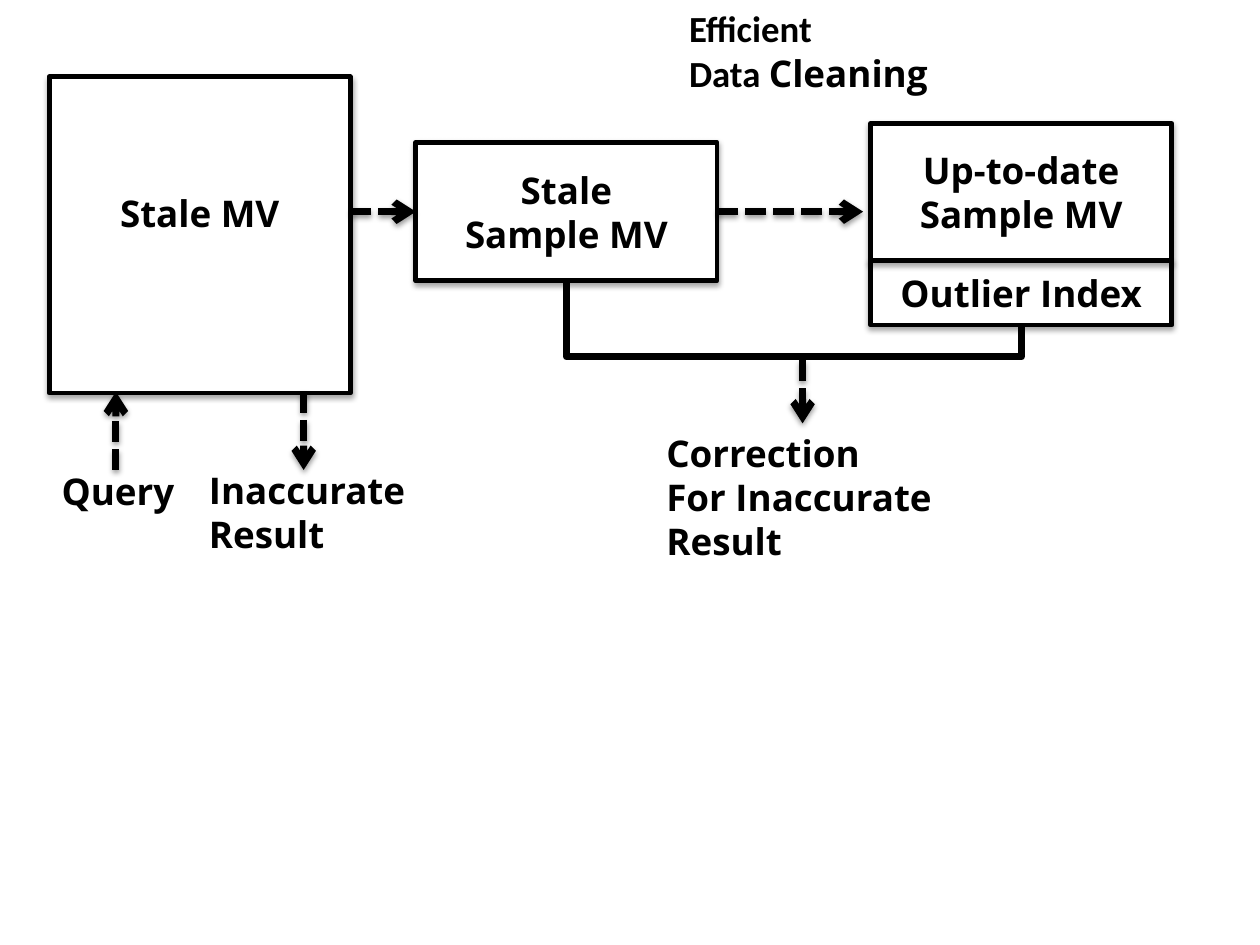
import pptx
import pptx.util
import pptx.dml.color
import pptx.enum.dml
import pptx.enum.shapes
import pptx.enum.text
import pptx.oxml
import pptx.oxml.ns

Inches = pptx.util.Inches
Pt = pptx.util.Pt
qn = pptx.oxml.ns.qn
COLORS = {
    name: pptx.dml.color.RGBColor.from_string(value)
    for name, value in {"ink": "000000", "paper": "FFFFFF"}.items()
}
SANS = "Open Sans"
BODY = "Calibri"


def write_text(shape, lines, font=SANS, size=21, align=pptx.enum.text.PP_ALIGN.LEFT,
               anchor=pptx.enum.text.MSO_ANCHOR.TOP, wrap=False):
    frame = shape.text_frame
    frame.word_wrap = wrap
    frame.vertical_anchor = anchor
    for index, line in enumerate(lines):
        paragraph = frame.paragraphs[0] if index == 0 else frame.add_paragraph()
        paragraph.alignment = align
        for text, run_font in [(line, font)] if isinstance(line, str) else line:
            run = paragraph.add_run()
            run.text = text
            run.font.name = run_font
            run.font.size = Pt(size)
            run.font.bold = True
            run.font.color.rgb = COLORS["ink"]


def add_shadow(shape, distance, opacity):
    shape.element.spPr.append(pptx.oxml.parse_xml(
        f'<a:effectLst {pptx.oxml.ns.nsdecls("a")}>'
        f'<a:outerShdw blurRad="{Pt(3.1)}" dist="{Pt(distance)}" dir="5400000" rotWithShape="0">'
        f'<a:srgbClr val="{COLORS["ink"]}"><a:alpha val="{opacity * 1000}"/></a:srgbClr>'
        '</a:outerShdw></a:effectLst>'))


presentation = pptx.Presentation()
presentation.slide_width = Inches(10)
presentation.slide_height = Inches(7.5)
slide = presentation.slides.add_slide(presentation.slide_layouts[6])

boxes = {}
for name, lines, left, top, height in [
    ("stale", ["Stale MV"], 0.39, 0.61, 2.51),
    ("sample", ["Stale", "Sample MV"], 3.3, 1.13, 1.1),
    ("outlier", ["Outlier Index"], 6.91, 2.07, 0.51),
    ("updated", ["Up-to-date Sample MV"], 6.91, 0.98, 1.09),
]:
    box = slide.shapes.add_shape(pptx.enum.shapes.MSO_SHAPE.RECTANGLE,
                                 Inches(left), Inches(top), Inches(2.39), Inches(height))
    box.fill.solid()
    box.fill.fore_color.rgb = COLORS["paper"]
    box.line.color.rgb = COLORS["ink"]
    box.line.width = Pt(2.75)
    add_shadow(box, 1.8, 35)
    write_text(box, lines, align=pptx.enum.text.PP_ALIGN.CENTER,
               anchor=pptx.enum.text.MSO_ANCHOR.MIDDLE, wrap=True)
    boxes[name] = box
boxes["stale"].text_frame.margin_bottom = Inches(0.4)

arrows = []
for start_x, start_y, end_x, end_y in [
    (2.78, 1.68, 3.3, 1.68),
    (5.69, 1.68, 6.85, 1.68),
    (0.92, 3.73, 0.92, 3.11),
    (2.41, 3.11, 2.41, 3.73),
    (6.37, 2.86, 6.37, 3.36),
]:
    arrow = slide.shapes.add_connector(pptx.enum.shapes.MSO_CONNECTOR.STRAIGHT,
                                       Inches(start_x), Inches(start_y),
                                       Inches(end_x), Inches(end_y))
    arrow.line.color.rgb = COLORS["ink"]
    arrow.line.width = Pt(4)
    arrow.line.dash_style = pptx.enum.dml.MSO_LINE.SQUARE_DOT
    arrow.element.spPr.find(qn("a:ln")).append(pptx.oxml.parse_xml(
        f'<a:tailEnd {pptx.oxml.ns.nsdecls("a")} type="arrow"/>'))
    add_shadow(arrow, 1.6, 38)
    arrows.append(arrow)
arrows[0].end_connect(boxes["sample"], 1)
arrows[1].begin_connect(boxes["sample"], 3)

bracket = slide.shapes.add_connector(pptx.enum.shapes.MSO_CONNECTOR.ELBOW,
                                     Inches(4.5), Inches(2.23), Inches(8.1), Inches(2.58))
bracket.begin_connect(boxes["sample"], 2)
bracket.end_connect(boxes["outlier"], 2)
bracket.left, bracket.top = Inches(6.12), Inches(0.6)
bracket.width, bracket.height = Inches(0.36), Inches(3.61)
transform = bracket.element.spPr.find(qn("a:xfrm"))
transform.set("rot", "16200000")
transform.set("flipH", "1")
geometry = bracket.element.spPr.find(qn("a:prstGeom"))
for adjustments in geometry.findall(qn("a:avLst")):
    geometry.remove(adjustments)
geometry.append(pptx.oxml.parse_xml(
    f'<a:avLst {pptx.oxml.ns.nsdecls("a")}><a:gd name="adj1" fmla="val 169000"/></a:avLst>'))
bracket.line.color.rgb = COLORS["ink"]
bracket.line.width = Pt(4)
bracket.element.spPr.append(pptx.oxml.parse_xml(
    f'<a:effectLst {pptx.oxml.ns.nsdecls("a")}/>'))

for lines, left, top, width, height in [
    (["Query"], 0.39, 3.67, 1.12, 0.45),
    (["Inaccurate", "Result"], 1.56, 3.66, 1.77, 0.81),
    (["Correction", "For Inaccurate", "Result"], 5.19, 3.37, 2.36, 1.16),
    ([[("Efficient", BODY)], [("Data ", BODY), ("Cleaning", SANS)]], 5.37, 0, 2.18, 0.81),
]:
    label = slide.shapes.add_textbox(Inches(left), Inches(top), Inches(width), Inches(height))
    write_text(label, lines)

presentation.save("out.pptx")
